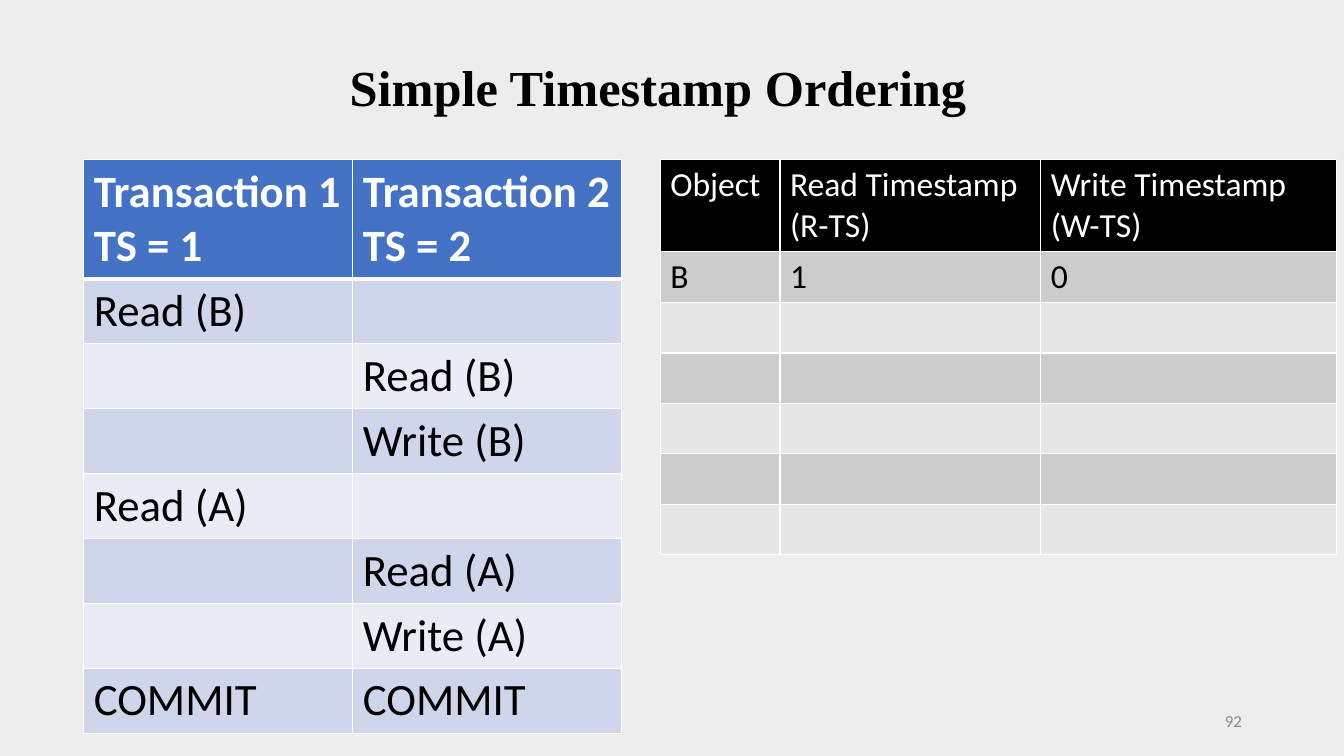
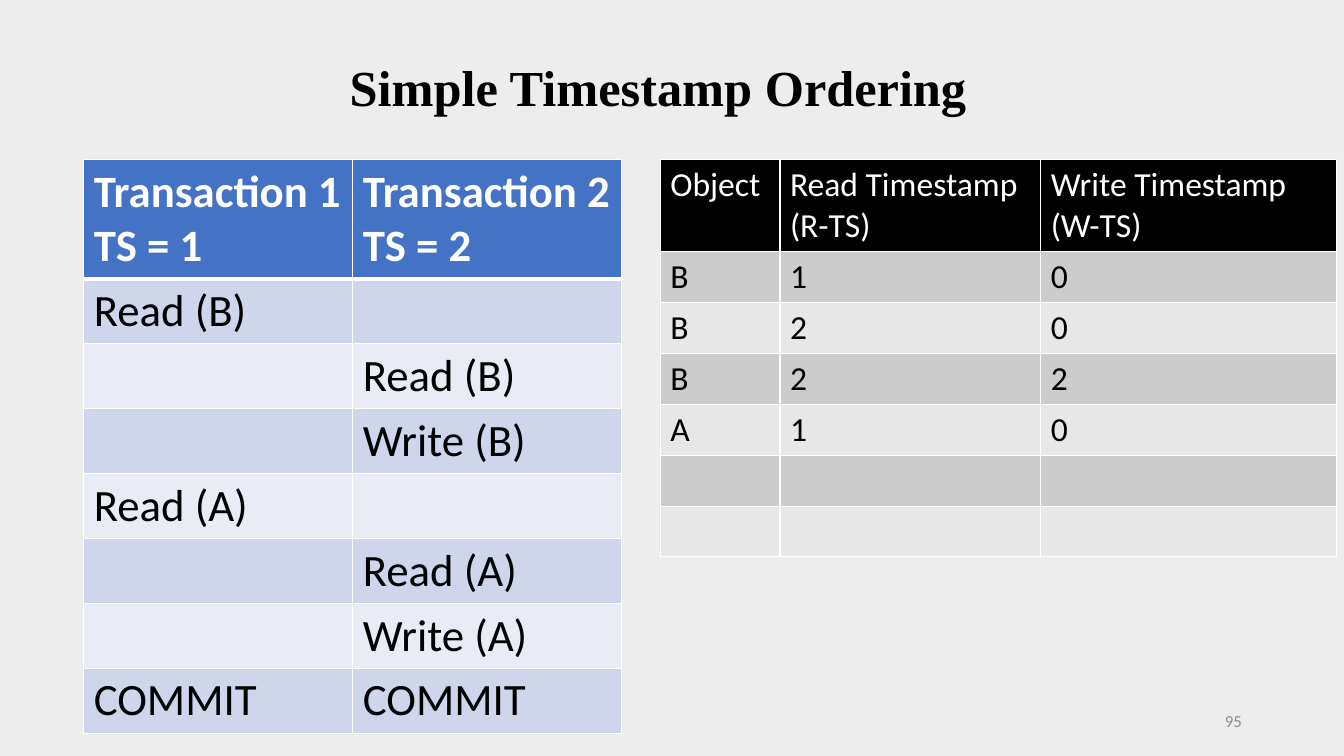
import pptx
import pptx.util
import pptx.dml.color
import pptx.enum.text
import pptx.oxml.ns
import lxml.etree

Pt = pptx.util.Pt
COLOURS = {
    "background": "EDEDED", "black": "000000", "white": "FFFFFF", "page": "8C8C8C",
    "blue": "4472C4", "blue_dark": "CFD5EA", "blue_light": "E9EBF5",
    "grey_dark": "CCCCCC", "grey_light": "E7E7E7",
}
SCHEDULE = [
    ("Transaction 1\nTS = 1", "Transaction 2\nTS = 2"),
    ("Read (B)", ""),
    ("", "Read (B)"),
    ("", "Write (B)"),
    ("Read (A)", ""),
    ("", "Read (A)"),
    ("", "Write (A)"),
    ("COMMIT", "COMMIT"),
]
TIMESTAMP_HEADER = ("Object", "Read Timestamp (R-TS)", "Write Timestamp (W-TS)")
TIMESTAMP_ROWS = 6
STEPS = [
    ("92", [("B", "1", "0")]),
    ("95", [("B", "1", "0"), ("B", "2", "0"), ("B", "2", "2"), ("A", "1", "0")]),
]


def style_text(frame, font_name, size, colour, bold=False):
    for paragraph in frame.paragraphs:
        for run in paragraph.runs:
            run.font.name = font_name
            run.font.size = Pt(size)
            run.font.bold = bold
            run.font.color.rgb = pptx.dml.color.RGBColor.from_string(COLOURS[colour])


def add_grid(slide, rows, left, widths, header_height, row_height, size, fills, header_bold, rule):
    heights = [header_height] + [row_height] * (len(rows) - 1)
    table = slide.shapes.add_table(len(rows), len(widths), Pt(left), Pt(113.8),
                                   Pt(sum(widths)), Pt(sum(heights))).table
    table.first_row = table.horz_banding = False
    for column, width in zip(table.columns, widths):
        column.width = Pt(width)
    for r, (values, height) in enumerate(zip(rows, heights)):
        table.rows[r].height = Pt(height)
        fill = fills[0] if r == 0 else fills[2 - r % 2]
        borders = {"L": 1, "R": 1, "T": rule if r == 1 else 1, "B": rule if r == 0 else 1}
        for c, value in enumerate(values):
            cell = table.cell(r, c)
            cell.text_frame.text = value
            style_text(cell.text_frame, "Calibri", size, "white" if r == 0 else "black",
                       header_bold and r == 0)
            cell_properties = cell._tc.get_or_add_tcPr()
            for side, width in borders.items():
                line = lxml.etree.SubElement(
                    cell_properties, pptx.oxml.ns.qn("a:ln" + side), w=str(int(Pt(width))))
                paint = lxml.etree.SubElement(line, pptx.oxml.ns.qn("a:solidFill"))
                lxml.etree.SubElement(paint, pptx.oxml.ns.qn("a:srgbClr"), val=COLOURS["white"])
            cell.fill.solid()
            cell.fill.fore_color.rgb = pptx.dml.color.RGBColor.from_string(COLOURS[fill])


deck = pptx.Presentation()
deck.slide_width, deck.slide_height = Pt(960), Pt(540)
backdrop = deck.slide_master.background.fill
backdrop.solid()
backdrop.fore_color.rgb = pptx.dml.color.RGBColor.from_string(COLOURS["background"])

for page, timestamps in STEPS:
    slide = deck.slides.add_slide(deck.slide_layouts[5])

    title = slide.shapes.title
    title.left, title.top, title.width, title.height = Pt(242.6), Pt(36.7), Pt(457.2), Pt(51.1)
    heading = title.text_frame
    heading.text = "Simple Timestamp Ordering"
    heading.word_wrap = False
    heading.auto_size = pptx.enum.text.MSO_AUTO_SIZE.NONE
    heading.vertical_anchor = pptx.enum.text.MSO_ANCHOR.TOP
    heading.paragraphs[0].alignment = pptx.enum.text.PP_ALIGN.LEFT
    style_text(heading, "Times New Roman", 36, "black", True)

    add_grid(slide, SCHEDULE, 59.8, [192.2, 192.2], 85.4, 46.3, 32,
             ("blue", "blue_dark", "blue_light"), True, 3)

    unused = [("", "", "")] * (TIMESTAMP_ROWS - len(timestamps))
    add_grid(slide, [TIMESTAMP_HEADER] + timestamps + unused, 471.6, [85.5, 186.3, 211.5],
             65.3, 36, 24, ("black", "grey_dark", "grey_light"), False, 1)

    page_number = slide.shapes.add_textbox(Pt(678.2), Pt(500.5), Pt(216), Pt(28.8)).text_frame
    page_number.text = page
    page_number.word_wrap = True
    page_number.vertical_anchor = pptx.enum.text.MSO_ANCHOR.MIDDLE
    page_number.paragraphs[0].alignment = pptx.enum.text.PP_ALIGN.RIGHT
    style_text(page_number, "Calibri", 12, "page")

deck.save("out.pptx")
